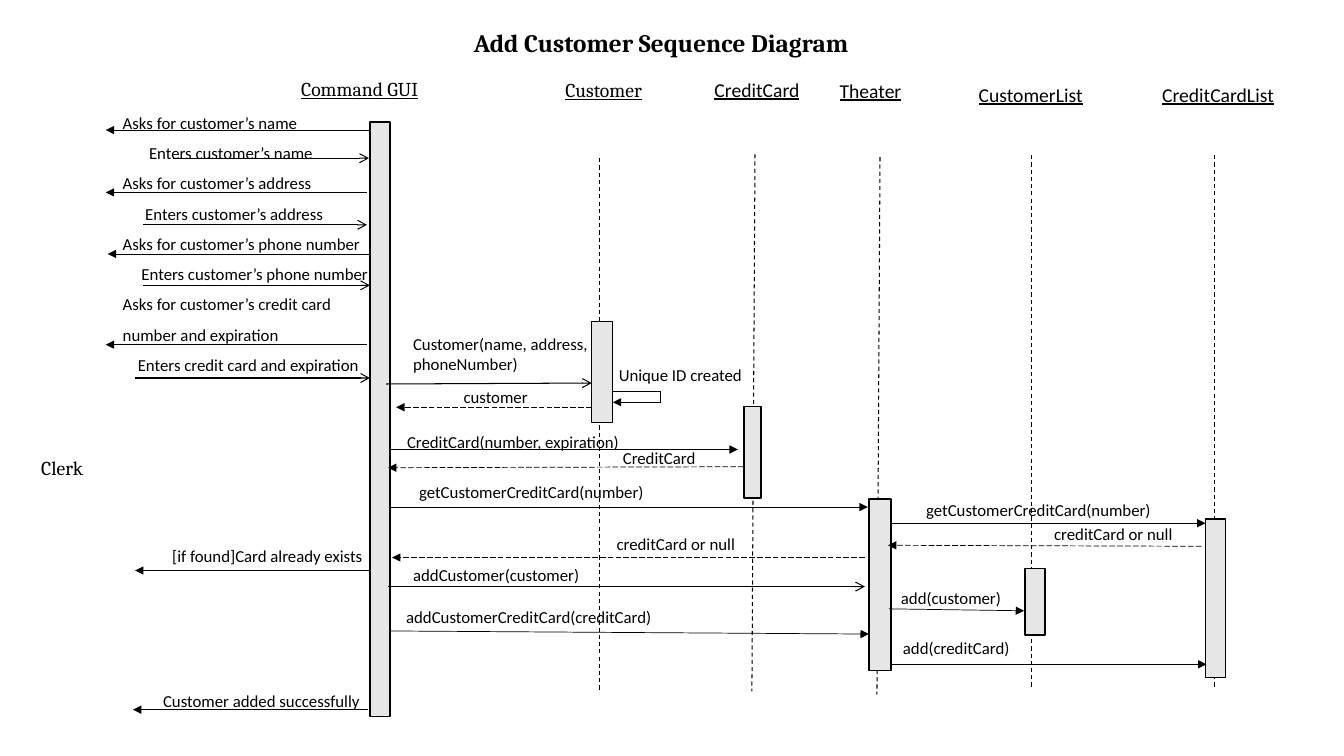
"""Build the Add Customer sequence diagram slide."""
from lxml import etree
from pptx import Presentation
from pptx.dml.color import RGBColor
from pptx.enum.dml import MSO_LINE
from pptx.enum.shapes import MSO_CONNECTOR, MSO_SHAPE
from pptx.enum.text import MSO_ANCHOR, MSO_AUTO_SIZE, PP_ALIGN
from pptx.oxml.ns import qn
from pptx.util import Pt

STRAIGHT, RECTANGLE = MSO_CONNECTOR.STRAIGHT, MSO_SHAPE.RECTANGLE
DASH, LONG_DASH = MSO_LINE.DASH, MSO_LINE.LONG_DASH
TOP, LEFT, NO_FIT = MSO_ANCHOR.TOP, PP_ALIGN.LEFT, MSO_AUTO_SIZE.NONE
BLACK = RGBColor(0, 0, 0)
BAR_GRAY = RGBColor(0xE7, 0xE6, 0xE6)
SANS, SERIF = "Calibri", "Cambria"
HEADER_HEIGHT, LABEL_HEIGHT = 24.2, 21.8

STYLES = {
    "call": (0.5, None, "triangle"),
    "input": (0.75, None, "arrow"),
    "reply": (0.5, LONG_DASH, "triangle"),
    "lifeline": (0.75, DASH, None),
    "loop": (0.5, None, None),
}

TITLE = "Add Customer Sequence Diagram"
ACTOR = ("Clerk", 22.3, 321.8, 48.5)

PARTICIPANTS = [
    ("Command GUI", SERIF, (208, 51.1, 109.4), None, (264.2, 87.1, 14.4, 424.8)),
    ("Customer", SERIF, (396.7, 51.8, 75.6), (428.4, 113, 428.4, 493.2), (422.6, 229.7, 15.1, 72)),
    ("CreditCard", SANS, (503.3, 51.8, 82.1), (539.3, 110.2, 537.1, 493.9), (531.4, 290.2, 12.2, 65.5)),
    ("Theater", SANS, (592.6, 52.6, 61), (628.6, 112.3, 626.4, 496.1), (620.6, 356.4, 15.8, 122.4)),
    ("CustomerList", SANS, (691.9, 55.4, 90), (736.6, 110.9, 736.6, 491), (732.2, 406.1, 14.4, 47.5)),
    ("CreditCardList", SANS, (823, 55.4, 96.5), (867.6, 110.9, 867.6, 491), (861.1, 370.8, 14.4, 113)),
]

DIALOG_BOX = (80.6, 69.8, 197.3, 203.8)
DIALOG = [
    ("Asks for customer’s name", 0, "call", 264.2, 75.6, 92.9),
    ("Enters customer’s name", 18.8, "input", 123.8, 263.5, 113),
    ("Asks for customer’s address", 0, "call", 262.1, 75.6, 137.5),
    ("Enters customer’s address", 16.1, "input", 102.2, 262.1, 160.6),
    ("Asks for customer’s phone number", 0, "call", 263.5, 77, 181.4),
    ("Enters customer’s phone number", 13.4, "input", 102.2, 264.2, 203.8),
    ("Asks for customer’s credit card number and expiration", 0, "call", 262.1, 75.6, 246.2),
    ("Enters credit card and expiration", 10.8, "input", 96.5, 264.2, 270),
]

MESSAGES = [
    ("Customer(name, address, phoneNumber)", (288, 234.7, 208), "input", (275.8, 274.3, 422.6, 273.6)),
    ("Unique ID created", (434.9, 257, 108.7), "call", (471.6, 287.3, 437.8, 287.3)),
    ("customer", (324, 272.9, 73.4), "reply", (422.6, 290.9, 283, 290.9)),
    ("CreditCard(number, expiration)", (283.7, 304.6, 168.5), "call", (277.9, 321.1, 527, 321.1)),
    ("CreditCard", (437.8, 316.1, 143.3), "reply", (531.4, 333.4, 277.2, 334.1)),
    ("getCustomerCreditCard(number)", (292.3, 340.6, 204.5), "call", (279.4, 362.2, 619.9, 362.2)),
    ("getCustomerCreditCard(number)", (654.5, 353.5, 177), "call", (635.8, 373.7, 861.1, 373.7)),
    ("creditCard or null", (745.9, 370.8, 160.6), "reply", (858.2, 390.2, 634.3, 389.5)),
    ("creditCard or null", (433.4, 378, 160.6), "reply", (617.8, 398.2, 280.1, 398.2)),
    ("[if found]Card already exists", (115.9, 386.6, 154.8), "call", (264.2, 407.5, 96.5, 407.5)),
    ("addCustomer(customer)", (288, 399.6, 223.9), "input", (277.2, 419, 617.8, 419)),
    ("add(customer)", (636.5, 416.2, 119.5), "call", (635, 434.9, 731.5, 436.3)),
    ("addCustomerCreditCard(creditCard)", (283, 429.8, 223.9), "call", (277.9, 450.7, 620.6, 452.9)),
    ("add(creditCard)", (637.9, 452.2, 119.5), "call", (636.5, 474.5, 861.8, 474.5)),
    ("Customer added successfully", (109.4, 489.6, 156.2), "call", (262.8, 506.9, 95, 506.9)),
]
SELF_CALL = [(437, 279.4, 471.6, 279.4), (471.6, 288, 471.6, 279.4)]


def write(paragraph, text, size, font, bold=False, underline=False):
    """Add one formatted run."""
    run = paragraph.add_run()
    run.text = text
    run.font.name, run.font.size = font, Pt(size)
    run.font.bold, run.font.underline = bold, underline
    run.font.color.rgb = BLACK


def add_frame(box):
    """Add a wrapping text box and return its frame."""
    frame = slide.shapes.add_textbox(*map(Pt, box)).text_frame
    frame.word_wrap = True
    return frame


def add_label(text, place, height, size, font, underline=False):
    """Add a single-paragraph label."""
    write(add_frame((*place, height)).paragraphs[0], text, size, font, underline=underline)


def add_line(ends, style):
    """Add a line or arrow in one of the diagram styles."""
    width, dash, head = STYLES[style]
    link = slide.shapes.add_connector(STRAIGHT, *map(Pt, ends))
    link.line.color.rgb, link.line.width = BLACK, Pt(width)
    if dash:
        link.line.dash_style = dash
    if head:
        etree.SubElement(link.line._get_or_add_ln(), qn("a:tailEnd"), type=head)
    etree.SubElement(link._element.spPr, qn("a:effectLst"))


def add_bar(box):
    """Add an activation bar."""
    bar = slide.shapes.add_shape(RECTANGLE, *map(Pt, box))
    bar.shadow.inherit = False
    bar.fill.solid()
    bar.fill.fore_color.rgb = BAR_GRAY
    bar.line.color.rgb, bar.line.width = BLACK, Pt(1)


prs = Presentation()
prs.slide_width, prs.slide_height = Pt(960), Pt(540)
slide = prs.slides.add_slide(prs.slide_layouts[5])

title = slide.shapes.title
title.left, title.top, title.width, title.height = map(Pt, (331.2, 15.8, 328.3, 28.8))
title.text_frame.auto_size = NO_FIT
title.text_frame.vertical_anchor = TOP
title.text_frame.paragraphs[0].alignment = LEFT
write(title.text_frame.paragraphs[0], TITLE, 18, SERIF, bold=True)

add_label(ACTOR[0], ACTOR[1:], HEADER_HEIGHT, 14, SERIF)
for name, font, header, lifeline, activation in PARTICIPANTS:
    add_label(name, header, HEADER_HEIGHT, 14, font, underline=True)
    if lifeline:
        add_line(lifeline, "lifeline")
    add_bar(activation)

dialog_frame = add_frame(DIALOG_BOX)
for index, (text, indent, style, start, end, y) in enumerate(DIALOG):
    step = dialog_frame.add_paragraph() if index else dialog_frame.paragraphs[0]
    step.line_spacing = 1.5
    step._p.get_or_add_pPr().set("marL", str(Pt(indent)))
    write(step, text, 12, SANS)
    add_line((start, y, end, y), style)

for text, place, style, ends in MESSAGES:
    add_label(text, place, LABEL_HEIGHT, 12, SANS)
    add_line(ends, style)
for ends in SELF_CALL:
    add_line(ends, "loop")

prs.save("out.pptx")
